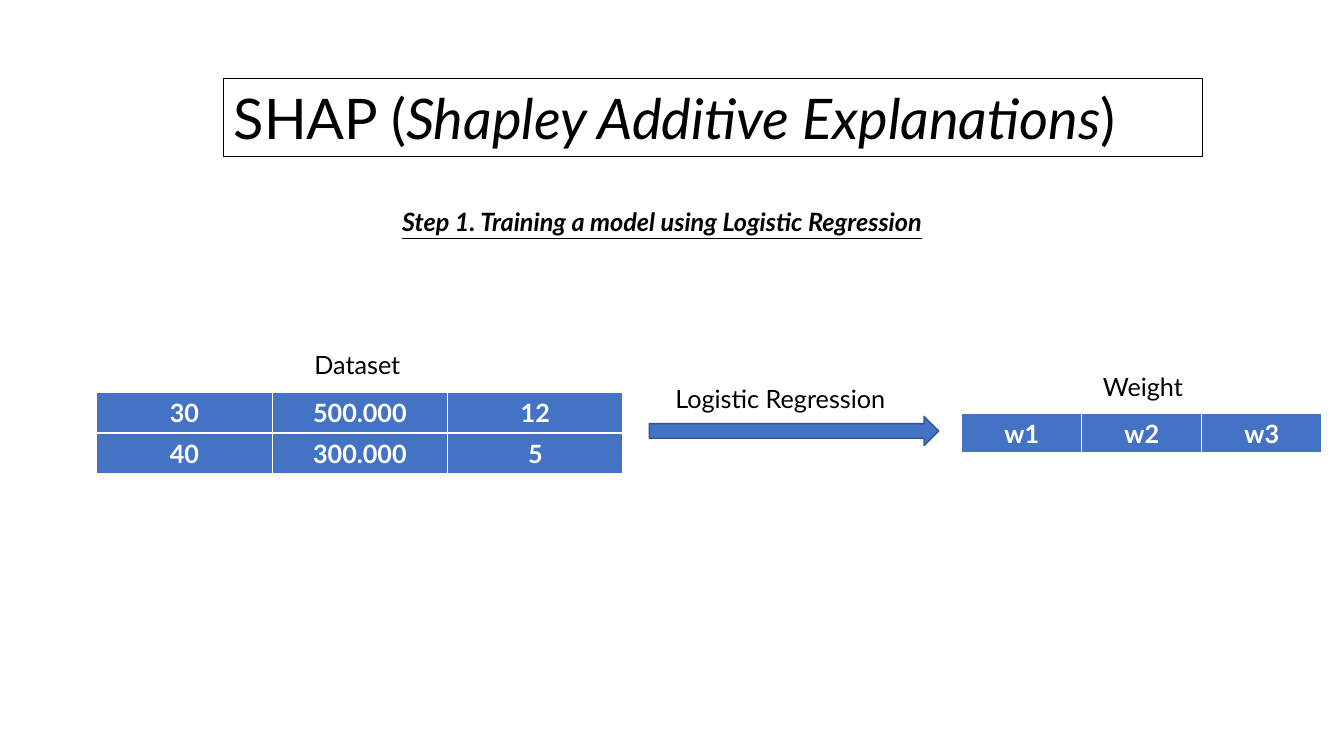
from dataclasses import dataclass

from lxml.etree import SubElement
from pptx import Presentation
from pptx.dml.color import RGBColor
from pptx.enum.shapes import MSO_SHAPE
from pptx.enum.text import MSO_ANCHOR, MSO_AUTO_SIZE, PP_ALIGN
from pptx.oxml import parse_xml
from pptx.oxml.ns import nsdecls, qn
from pptx.util import Pt

PX = 9144


@dataclass(frozen=True)
class Theme:
    font: str = "Lato"
    ink: str = "000000"
    paper: str = "FFFFFF"
    accent: str = "4472C4"
    accent_edge: str = "325491"
    title_size: int = 40
    body_size: int = 18


class SlideBuilder:
    def __init__(self, page, theme):
        self.page = page
        self.theme = theme

    def frame(self, *lengths):
        return [length * PX for length in lengths]

    def style(self, span, size, color, bold=False, italic=False, underline=False):
        span.font.name = self.theme.font
        span.font.size = Pt(size)
        span.font.color.rgb = RGBColor.from_string(color)
        span.font.bold = bold
        span.font.italic = italic
        span.font.underline = underline

    def shape(self, kind, area, line, width, fill=None):
        shape = self.page.shapes.add_shape(kind, *self.frame(*area))
        shape.shadow.inherit = False
        shape.line.color.rgb = RGBColor.from_string(line)
        shape.line.width = Pt(width)
        if fill:
            shape.fill.solid()
            shape.fill.fore_color.rgb = RGBColor.from_string(fill)
        else:
            shape.fill.background()
        return shape

    def title(self, area, parts):
        box = self.shape(MSO_SHAPE.RECTANGLE, area, self.theme.ink, 0.75)
        text_frame = box.text_frame
        text_frame.word_wrap = True
        text_frame.auto_size = MSO_AUTO_SIZE.SHAPE_TO_FIT_TEXT
        text_frame.vertical_anchor = MSO_ANCHOR.TOP
        para = text_frame.paragraphs[0]
        para.alignment = PP_ALIGN.LEFT
        for text, italic in parts:
            span = para.add_run()
            span.text = text
            self.style(span, self.theme.title_size, self.theme.ink, italic=italic)

    def label(self, area, text, **emphasis):
        box = self.page.shapes.add_textbox(*self.frame(*area))
        text_frame = box.text_frame
        text_frame.text = text
        text_frame.word_wrap = True
        text_frame.auto_size = MSO_AUTO_SIZE.SHAPE_TO_FIT_TEXT
        span = text_frame.paragraphs[0].runs[0]
        self.style(span, self.theme.body_size, self.theme.ink, **emphasis)

    def arrow(self, area):
        self.shape(MSO_SHAPE.RIGHT_ARROW, area, self.theme.accent_edge, 1, self.theme.accent)

    def row_table(self, left, top, column_width, height, values):
        area = self.frame(left, top, column_width * len(values), height)
        table = self.page.shapes.add_table(1, len(values), *area).table
        table.horz_banding = False
        for column, cell, value in zip(table.columns, table.rows[0].cells, values):
            column.width = column_width * PX
            cell.text = value
            cell.fill.solid()
            cell.fill.fore_color.rgb = RGBColor.from_string(self.theme.accent)
            para = cell.text_frame.paragraphs[0]
            para.alignment = PP_ALIGN.CENTER
            self.style(para.runs[0], self.theme.body_size, self.theme.paper, bold=True)
            self.borders(cell)

    def borders(self, cell):
        properties = cell._tc.get_or_add_tcPr()
        for index, (side, width) in enumerate((("L", 1), ("R", 1), ("T", 1), ("B", 3))):
            edge = parse_xml(f'<a:ln{side} {nsdecls("a")} w="{Pt(width)}"/>')
            fill = SubElement(edge, qn("a:solidFill"))
            SubElement(fill, qn("a:srgbClr"), val=self.theme.paper)
            properties.insert(index, edge)


def main():
    deck = Presentation()
    deck.slide_width = 1333 * PX
    deck.slide_height = 750 * PX
    page = deck.slides.add_slide(deck.slide_layouts[6])
    builder = SlideBuilder(page, Theme())

    builder.title(
        (222, 78, 971, 77),
        [("SHAP (", False), ("Shapley Additive Explanations", True), (")", False)],
    )
    builder.label(
        (389, 200, 638, 40),
        "Step 1. Training a model using Logistic Regression",
        bold=True,
        italic=True,
        underline=True,
    )

    dataset = [("30", "500.000", "12"), ("40", "300.000", "5")]
    row_height = 41
    for index, values in enumerate(dataset):
        builder.row_table(96, 389 + index * row_height, 174, row_height, values)
    builder.row_table(954, 410, 119, 40, ("w1", "w2", "w3"))

    builder.label((302, 342, 110, 40), "Dataset")
    builder.label((660, 375, 252, 40), "Logistic Regression")
    builder.arrow((644, 413, 287, 29))
    builder.label((1084, 363, 110, 40), "Weight")

    deck.save("out.pptx")


if __name__ == "__main__":
    main()
